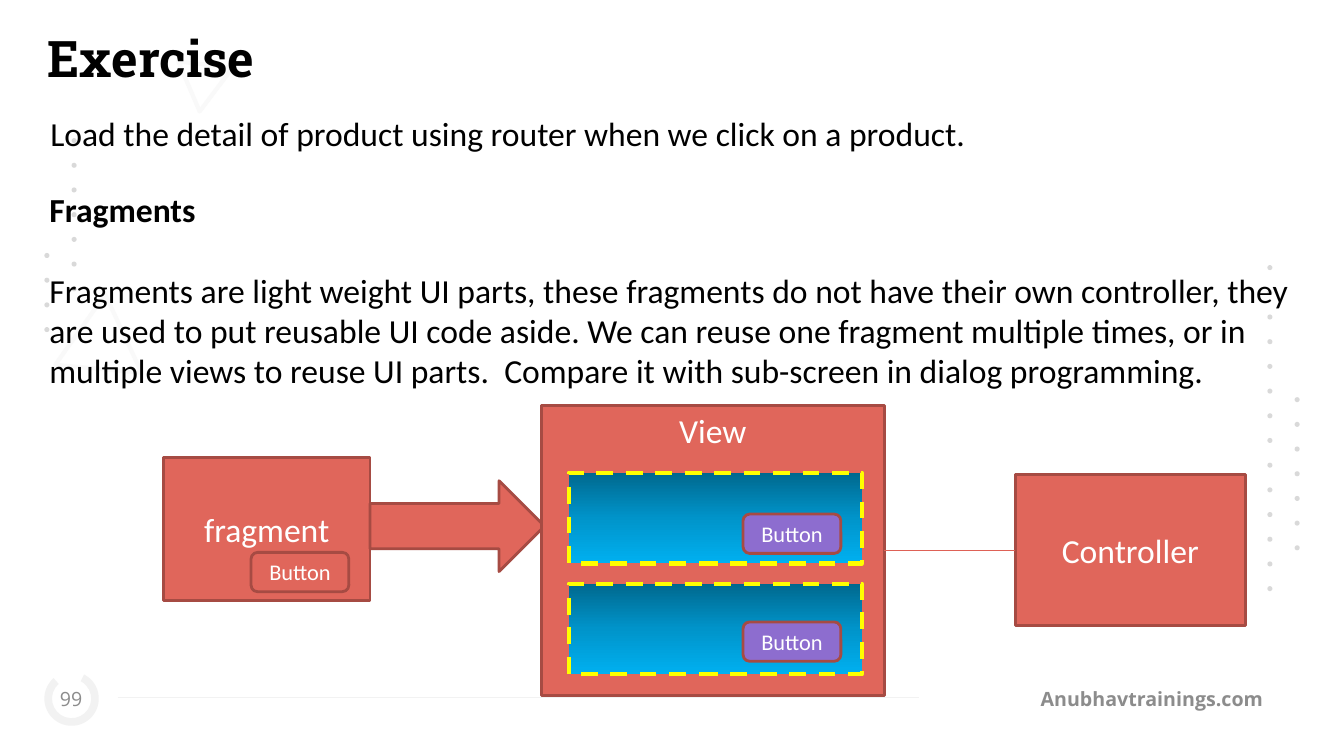
from copy import deepcopy
from dataclasses import dataclass

from lxml import etree
from pptx import Presentation
from pptx.dml.color import RGBColor
from pptx.enum import dml, shapes, text
from pptx.oxml.ns import qn
from pptx.util import Inches, Pt

TITLE = "Exercise"
TASK = "Load the detail of product using router when we click on a product."
TOPIC = "Fragments"
EXPLANATION = (
    "Fragments are light weight UI parts, these fragments do not have their own "
    "controller, they are used to put reusable UI code aside. We can reuse one fragment "
    "multiple times, or in multiple views to reuse UI parts.  Compare it with sub-screen "
    "in dialog programming."
)
SITE = "Anubhavtrainings.com"
PAGE = "99"

# Left, top, width, height in inches
TITLE_BOX = (0.37, 0.21, 12.52, 0.71)
TASK_BOX = (0.4, 1.07, 12.52, 0.5)
TOPIC_BOX = (0.39, 1.82, 12.52, 2.12)
SITE_BOX = (9.26, 6.73, 3.4, 0.4)
PAGE_BOX = (0.5, 6.73, 0.41, 0.4)
FRAGMENT_BOX = (1.62, 4.54, 2.05, 1.42)
ARROW_BOX = (3.67, 4.77, 1.73, 0.9)
VIEW_BOX = (5.37, 4.02, 3.4, 2.88)
CONTROLLER_BOX = (10.07, 4.71, 2.28, 1.5)
PANEL_BOXES = [(5.64, top, 2.91, 0.9) for top in (4.69, 5.79)]
FRAGMENT_BUTTON = (2.49, 5.48)
PANEL_BUTTONS = [(7.37, 5.1), (7.37, 6.17)]
BUTTON_SIZE = (0.97, 0.39)

TRIANGLES = [((1.82, 0.53, 0.54, 0.47), 66.8), ((0.58, 2.92, 0.86, 0.74), 5.2)]
DOT_COLUMNS = [(12.84, 3.94, 7), (12.57, 2.63, 14), (0.71, 1.37, 7), (0.44, 2.51, 4)]
DOT_PITCH, DOT_SIZE = 0.245, 0.05


@dataclass(frozen=True)
class Theme:
    heading_font: str = "Roboto Slab"
    body_font: str = "Calibri"
    footer_font: str = "Open Sans"
    title_size: int = 36
    body_size: int = 24
    button_size: int = 16
    footer_size: int = 14
    ink: str = "000000"
    white: str = "FFFFFF"
    footer: str = "8C8C8C"
    faint: str = "F2F2F2"
    ornament: str = "D9D9D9"
    coral: str = "E0665B"
    coral_edge: str = "A64B43"
    link: str = "DE6156"
    purple: str = "8D6DCF"
    yellow: str = "FFFF00"
    panel: tuple = ("00688E", "0094CA", "00B0F0")


THEME = Theme()
KIND = shapes.MSO_SHAPE
ALIGN = text.PP_ALIGN
ANCHOR = text.MSO_ANCHOR


def rgb(code):
    return RGBColor.from_string(code)


def lengths(box):
    return [Inches(value) for value in box]


def style(paragraph, font, size, color, bold=False, align=ALIGN.LEFT):
    paragraph.alignment = align
    paragraph.font.name = font
    paragraph.font.size = Pt(size)
    paragraph.font.bold = bold
    paragraph.font.color.rgb = rgb(color)


def add_shape(slide, kind, box, fill=None, edge=None, width=2):
    shape = slide.shapes.add_shape(kind, *lengths(box))
    shape.shadow.inherit = False
    if fill:
        shape.fill.solid()
        shape.fill.fore_color.rgb = rgb(fill)
    else:
        shape.fill.background()
    if edge:
        shape.line.color.rgb = rgb(edge)
        shape.line.width = Pt(width)
    else:
        shape.line.fill.background()
    return shape


def add_block(slide, kind, box, label="", fill=THEME.coral, size=THEME.body_size,
              anchor=ANCHOR.MIDDLE):
    block = add_shape(slide, kind, box, fill, THEME.coral_edge)
    if label:
        block.text_frame.text = label
        block.text_frame.vertical_anchor = anchor
        style(block.text_frame.paragraphs[0], THEME.body_font, size, THEME.white,
              align=ALIGN.CENTER)
    return block


def add_button(slide, corner, fill):
    add_block(slide, KIND.ROUNDED_RECTANGLE, corner + BUTTON_SIZE, "Button", fill,
              THEME.button_size)


def add_panel(slide, box):
    """Dashed slot where the view reuses the fragment."""
    panel = add_shape(slide, KIND.RECTANGLE, box, edge=THEME.yellow, width=3)
    panel.line.dash_style = dml.MSO_LINE.DASH
    panel.fill.gradient()
    panel.fill.gradient_angle = 270
    stop_list = panel._element.spPr.find(".//" + qn("a:gsLst"))
    stop_list.insert(1, deepcopy(stop_list[0]))
    for index, stop in enumerate(panel.fill.gradient_stops):
        stop.position = index / 2
        stop.color.rgb = rgb(THEME.panel[index])


def add_line(slide, start, end, color):
    line = slide.shapes.add_connector(shapes.MSO_CONNECTOR.STRAIGHT,
                                      *lengths(start + end))
    line.line.color.rgb = rgb(color)
    line.line.width = Pt(0.75)
    etree.SubElement(line._element.spPr, qn("a:effectLst"))
    return line


def add_label(slide, box, words, margins, anchor, **look):
    frame = slide.shapes.add_textbox(*lengths(box)).text_frame
    frame.word_wrap = True
    frame.vertical_anchor = anchor
    frame.margin_left = frame.margin_right = Inches(margins[0])
    frame.margin_top = frame.margin_bottom = Inches(margins[1])
    frame.text = words
    style(frame.paragraphs[0], **look)


def add_ornaments(slide):
    ring = add_shape(slide, KIND.BLOCK_ARC, (0.44, 6.66, 0.54, 0.54), THEME.faint)
    ring.rotation = 228.7
    for index, value in enumerate((41.31, 0, 0.14)):
        ring.adjustments[index] = value
    add_line(slide, (1.17, 6.92), (9.11, 6.92), THEME.faint)
    for box, angle in TRIANGLES:
        triangle = add_shape(slide, KIND.ISOSCELES_TRIANGLE, box, edge=THEME.ornament,
                             width=3)
        triangle.rotation = angle
        color = triangle._element.spPr.find(".//" + qn("a:ln")).find(
            ".//" + qn("a:srgbClr"))
        etree.SubElement(color, qn("a:alpha"), val="14000")
    for left, top, count in DOT_COLUMNS:
        for row in range(count):
            add_shape(slide, KIND.OVAL,
                      (left, top + row * DOT_PITCH, DOT_SIZE, DOT_SIZE), THEME.ornament)


def place(slide, placeholder, box, anchor):
    """Move a placeholder to its box and in front of the ornaments."""
    placeholder.left, placeholder.top, placeholder.width, placeholder.height = lengths(box)
    frame = placeholder.text_frame
    frame.auto_size = text.MSO_AUTO_SIZE.NONE
    frame.vertical_anchor = anchor
    slide.shapes._spTree.append(placeholder._element)
    return frame


def add_texts(slide):
    footer = dict(font=THEME.footer_font, size=THEME.footer_size, color=THEME.footer)
    add_label(slide, SITE_BOX, SITE, (0.13, 0.07), ANCHOR.MIDDLE, bold=True,
              align=ALIGN.RIGHT, **footer)
    add_label(slide, PAGE_BOX, PAGE, (0, 0.07), ANCHOR.MIDDLE, align=ALIGN.CENTER,
              **footer)

    heading = place(slide, slide.shapes.title, TITLE_BOX, ANCHOR.MIDDLE)
    heading.text = TITLE
    style(heading.paragraphs[0], THEME.heading_font, THEME.title_size, THEME.ink, True)

    body = dict(font=THEME.body_font, size=THEME.body_size, color=THEME.ink)
    add_label(slide, TASK_BOX, TASK, (0.1, 0.05), ANCHOR.TOP, **body)
    topic = place(slide, slide.placeholders[1], TOPIC_BOX, ANCHOR.TOP)
    topic.text = f"{TOPIC}\n{EXPLANATION}"
    for paragraph, bold, gap in zip(topic.paragraphs, (True, False), (0, 29)):
        properties = paragraph._p.get_or_add_pPr()
        properties.set("marL", "0")
        properties.set("indent", "0")
        etree.SubElement(properties, qn("a:buNone"))
        paragraph.space_before = Pt(gap)
        style(paragraph, bold=bold, **body)


def add_diagram(slide):
    add_block(slide, KIND.RECTANGLE, FRAGMENT_BOX, "fragment")
    add_block(slide, KIND.RIGHT_ARROW, ARROW_BOX)
    view = add_block(slide, KIND.RECTANGLE, VIEW_BOX, "View", anchor=ANCHOR.TOP)
    for box in PANEL_BOXES:
        add_panel(slide, box)
    add_button(slide, FRAGMENT_BUTTON, THEME.coral)
    for corner in PANEL_BUTTONS:
        add_button(slide, corner, THEME.purple)
    controller = add_block(slide, KIND.RECTANGLE, CONTROLLER_BOX, "Controller")
    link = add_line(slide, (8.77, 5.46), (10.07, 5.46), THEME.link)
    link.begin_connect(view, 3)
    link.end_connect(controller, 1)


def main():
    deck = Presentation()
    deck.slide_width, deck.slide_height = Inches(13.33), Inches(7.5)
    slide = deck.slides.add_slide(deck.slide_layouts[1])
    add_ornaments(slide)
    add_texts(slide)
    add_diagram(slide)
    deck.save("out.pptx")


if __name__ == "__main__":
    main()
